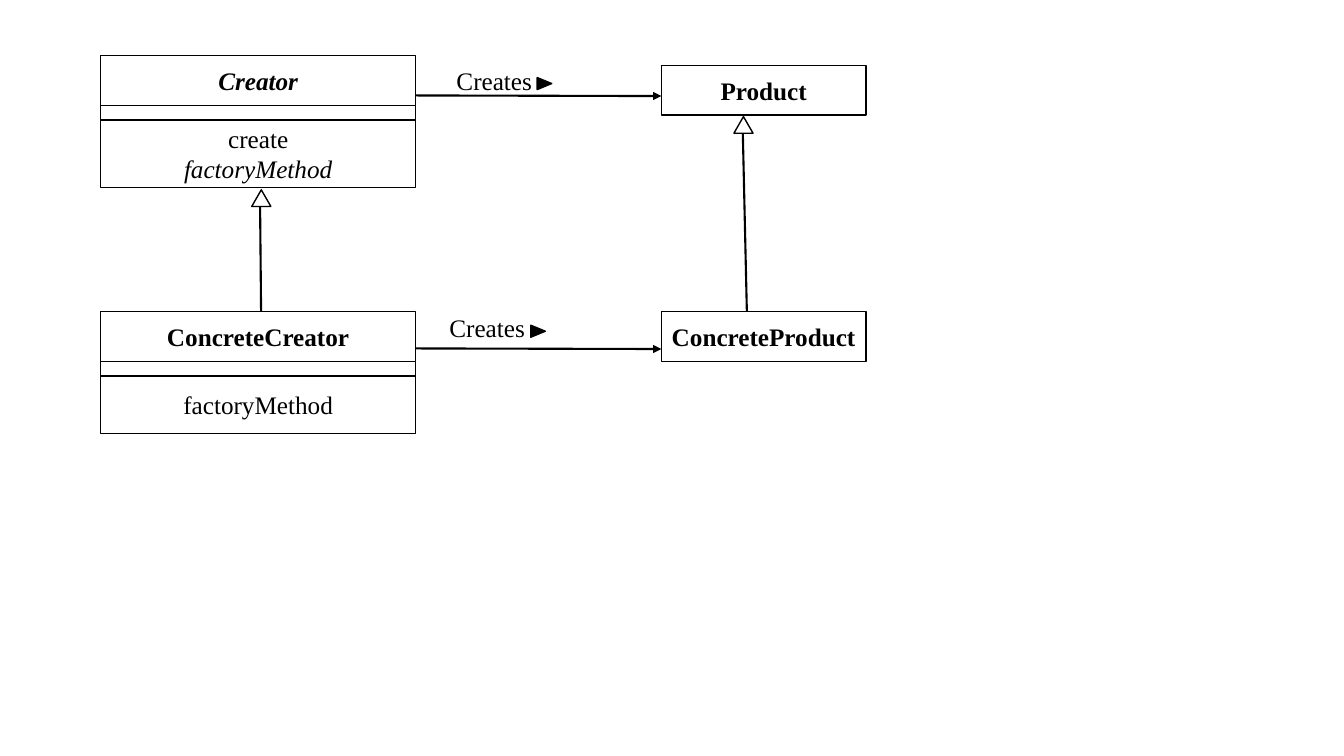
"""Builds a slide with the class diagram of the factory method pattern."""
from lxml import etree
from pptx import Presentation
from pptx.dml.color import RGBColor
from pptx.enum.shapes import MSO_CONNECTOR, MSO_SHAPE
from pptx.enum.text import MSO_ANCHOR, PP_ALIGN
from pptx.oxml.ns import qn
from pptx.util import Pt

RECT = MSO_SHAPE.RECTANGLE
TRIANGLE = MSO_SHAPE.ISOSCELES_TRIANGLE
STRAIGHT = MSO_CONNECTOR.STRAIGHT
MIDDLE = MSO_ANCHOR.MIDDLE
CENTER, LEFT = PP_ALIGN.CENTER, PP_ALIGN.LEFT
BLACK, WHITE = "000000", "FFFFFF"


def paint(part, color):
    part.solid()
    part.fore_color.rgb = RGBColor.from_string(color)


def write(para, text, align=CENTER, bold=False, italic=False):
    para.alignment = align
    run = para.add_run()
    run.text = text
    font = run.font
    font.name, font.size = "Times New Roman", Pt(18)
    font.bold, font.italic = bold, italic
    paint(font.fill, BLACK)


deck = Presentation()
deck.slide_width, deck.slide_height = Pt(960), Pt(540)
slide = deck.slides.add_slide(deck.slide_layouts[6])
shapes = slide.shapes

left, wide = 72, 224.9
right, slim = 472.4, 146.2
top, base = 39.8, 222.7
head, gap = 35.5, 10.3

links = [
    (185.8, 147.5, 186.5, base, False),
    (530.6, 95, 533.5, base, False),
    (left + wide, 68.2, right, 68.6, True),
    (left + wide, 248.9, right, 249.3, True),
]
for x1, y1, x2, y2, arrow in links:
    link = shapes.add_connector(STRAIGHT, Pt(x1), Pt(y1), Pt(x2), Pt(y2))
    link.line.width = Pt(1.5)
    paint(link.line.fill, BLACK)
    if arrow:
        tail = etree.SubElement(link.line._get_or_add_ln(), qn("a:tailEnd"))
        tail.set("type", "triangle")
    etree.SubElement(link._element.spPr, qn("a:effectLst"))

plain, bold, italic = {}, {"bold": True}, {"italic": True}
boxes = [
    (left, top, wide, head, [("Creator", bold | italic)]),
    (left, top + head, wide, gap, []),
    (left, top + head + gap, wide, 48.2,
     [("create", plain), ("factoryMethod", italic)]),
    (left, base, wide, head, [("ConcreteCreator", bold)]),
    (left, base + head, wide, gap, []),
    (left, base + head + gap, wide, 41, [("factoryMethod", plain)]),
    (right, 46.6, slim, head, [("Product", bold)]),
    (right, base, slim, head, [("ConcreteProduct", bold)]),
]
for x, y, w, h, lines in boxes:
    box = shapes.add_shape(RECT, Pt(x), Pt(y), Pt(w), Pt(h))
    box.shadow.inherit = False
    paint(box.fill, WHITE)
    paint(box.line.fill, BLACK)
    box.line.width = Pt(1)
    frame = box.text_frame
    frame.vertical_anchor = MIDDLE
    frame.margin_left = frame.margin_right = Pt(3.6)
    frame.margin_top = frame.margin_bottom = 0
    for row, (text, style) in enumerate(lines):
        para = frame.add_paragraph() if row else frame.paragraphs[0]
        write(para, text, **style)

marks = [
    (179.8, 135.6, 13.7, 11.9, 0, WHITE),
    (524.2, 83.3, 13.7, 11.9, 0, WHITE),
    (384.6, 54.5, 8.6, 10.4, 90, BLACK),
    (380, 231.4, 8.6, 10.4, 90, BLACK),
]
for x, y, w, h, turn, color in marks:
    mark = shapes.add_shape(TRIANGLE, Pt(x), Pt(y), Pt(w), Pt(h))
    mark.shadow.inherit = False
    mark.rotation = turn
    paint(mark.fill, color)
    paint(mark.line.fill, BLACK)
    mark.line.width = Pt(1)

for x, y in [(319, 43.4), (313.9, 219.8)]:
    label = shapes.add_textbox(Pt(x), Pt(y), Pt(81.4), Pt(29))
    label.text_frame.word_wrap = True
    write(label.text_frame.paragraphs[0], "Creates", align=LEFT)

deck.save("out.pptx")
